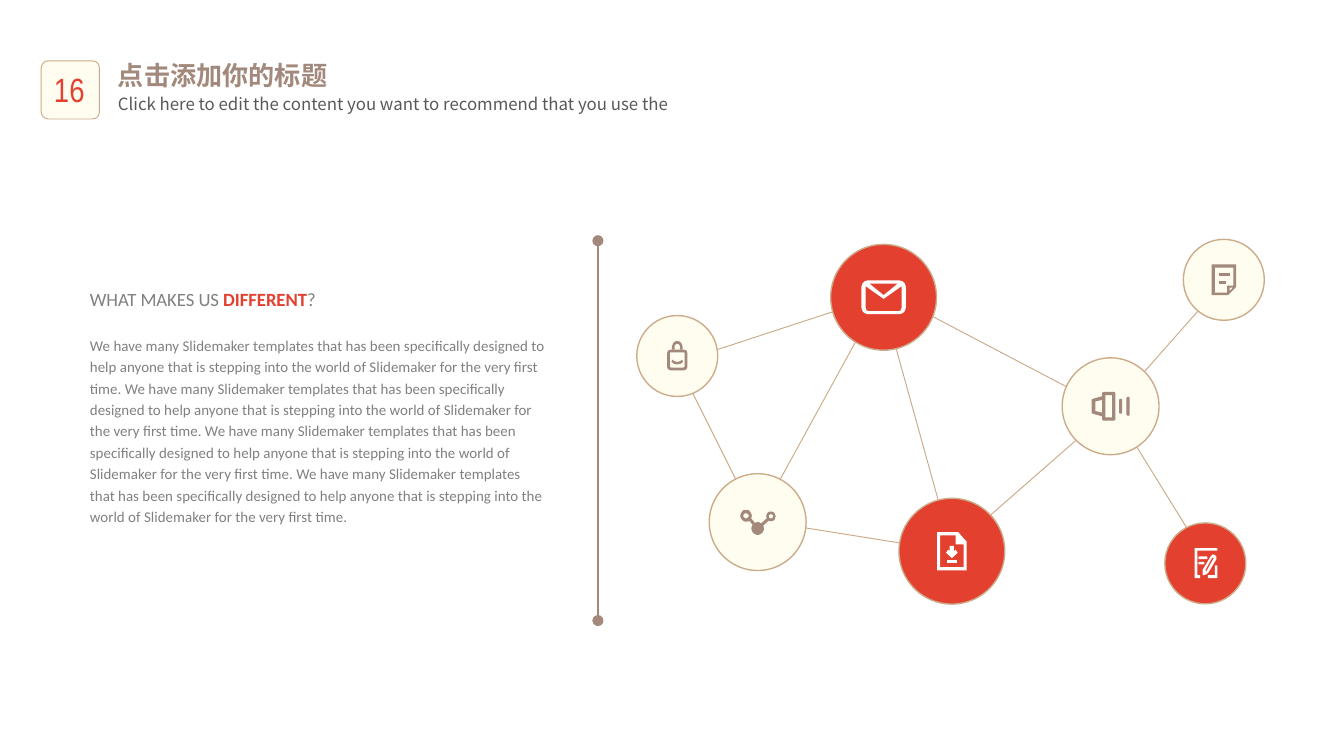
import math
from dataclasses import dataclass

import pptx
import pptx.util
from lxml import etree
from pptx.dml.color import RGBColor
from pptx.enum.shapes import MSO_CONNECTOR, MSO_SHAPE
from pptx.enum.text import MSO_ANCHOR, PP_ALIGN
from pptx.oxml.ns import qn
from pptx.util import Cm, Pt

Point = tuple[float, float]
Contour = list[Point]
Piece = list[Contour]


@dataclass(frozen=True)
class Theme:
    red: RGBColor = RGBColor(0xE4, 0x40, 0x2F)
    cream: RGBColor = RGBColor(0xFF, 0xFD, 0xEF)
    tan: RGBColor = RGBColor(0xCB, 0xAB, 0x89)
    brown: RGBColor = RGBColor(0xA2, 0x89, 0x7B)
    white: RGBColor = RGBColor(0xFF, 0xFF, 0xFF)
    grey: RGBColor = RGBColor(0x80, 0x80, 0x80)
    dark: RGBColor = RGBColor(0x59, 0x59, 0x59)
    badge_font: str = "Arial Narrow"
    body_font: str = "Calibri"
    title_font: str = "Noto Sans CJK SC"
    badge_size: float = 18
    title_size: float = 14
    subtitle_size: float = 9
    heading_size: float = 10
    body_size: float = 8
    thin: float = 0.5
    medium: float = 0.75


T = Theme()


@dataclass(frozen=True)
class Node:
    """A network circle: centre and diameter in cm, icon in 0.1 mm from the centre."""
    x: float
    y: float
    size: float
    filled: bool
    icon: list[Piece]


@dataclass(frozen=True)
class Link:
    x1: float
    y1: float
    x2: float
    y2: float


def arc(cx: float, cy: float, radius: float, start: int, stop: int, step: int) -> Contour:
    return [(cx + radius * math.cos(math.radians(a)), cy + radius * math.sin(math.radians(a)))
            for a in range(start, stop, step)]


def circle(cx: float, cy: float, radius: float) -> Contour:
    return arc(cx, cy, radius, 0, 360, 20)


def box(left: float, top: float, right: float, bottom: float, radius: float = 0) -> Contour:
    if not radius:
        return [(left, top), (right, top), (right, bottom), (left, bottom)]
    corners = [(right - radius, bottom - radius), (left + radius, bottom - radius),
               (left + radius, top + radius), (right - radius, top + radius)]
    return [pt for i, (cx, cy) in enumerate(corners)
            for pt in arc(cx, cy, radius, 90 * i, 90 * i + 91, 30)]


MAIL = [[box(-42, -32, 42, 32, 12), [(27, -26), (0, -4), (-27, -26)],
         [(-34, -21), (0, 3), (34, -21), (34, 20), (32, 25), (28, 26),
          (-28, 26), (-32, 25), (-34, 20)]]]
DOWNLOAD = [
    [[(12, -36), (-28, -36), (-28, 36), (28, 36), (28, -18)],
     [(-22, 30), (-22, -30), (7, -30), (7, -13), (22, -13), (22, 30)]],
    [[(4, 0), (4, -10), (-4, -10), (-4, 0), (-7, -3), (-11, 3), (0, 13), (11, 3), (7, -3)]],
    [box(-9, 16, 9, 23)],
]
EDIT = [
    [[(-10, 22), (-15, 22), (-15, -24), (23, -24), (23, -29), (-20, -29), (-20, 28), (-10, 28)]],
    [[(18, 4), (18, 22), (5, 22), (5, 28), (23, 28), (23, 4)]],
    [[(18, -16), (14, -17), (10, -13), (-5, 12), (-5, 22), (-2, 22), (3, 20), (6, 17),
      (21, -8), (21, -13)], [(13, -11), (0, 13), (2, 15), (16, -10)]],
    [box(-13, -13, 4, -8, 2)],
    [box(-13, -3, -2, 2, 2)],
]
SHARE = [
    [circle(-22, -12, 11), circle(-22, -12, 5)],
    [circle(25, -11, 9), circle(25, -11, 4)],
    [circle(0, 12, 12)],
    [[(-17, -4), (-13, -8), (-4, 3), (-8, 7)]],
    [[(17, -7), (21, -3), (9, 8), (5, 4)]],
]
SOUND = [
    [[(7, -27), (-14, -27), (-16, -25), (-16, -19), (-34, -14), (-36, -12), (-36, 12), (-34, 14),
      (-16, 19), (-16, 25), (-14, 27), (7, 27), (9, 25), (9, -25)],
     [(-29, 9), (-29, -9), (-16, -12), (-16, 12)], box(-10, -21, 3, 21)],
    [box(16, -14, 22, 14, 3)],
    [box(30, -18, 36, 18, 3)],
]
NOTE = [
    [[(-23, -29), (-23, 29), (8, 29), (23, 14), (23, -29)],
     [(-17, -23), (18, -23), (18, 11), (6, 11), (6, 24), (-17, 24)],
     [(17, 15), (11, 21), (11, 15)]],
    [box(-9, -13, 11, -8)],
    [box(-9, 2, 4, 7)],
]
LOCK = [
    [box(-19, -12, 19, 27, 6), box(-14, -7, 14, 22, 3)],
    [arc(0, -18, 10, 180, 361, 20) + [(10, -12), (5, -12)]
     + arc(0, -18, 5, 180, 361, 20)[::-1] + [(-5, -12), (-10, -12)]],
    [[(-9, 7), (-5, 10), (0, 11), (5, 10), (9, 7), (11, 11), (6, 15), (0, 16),
      (-6, 15), (-11, 11)]],
]

LINKS = [
    Link(13.49, 6.63, 15.9, 5.84), Link(16.23, 6.35, 14.63, 9.27),
    Link(15.11, 9.96, 17.17, 10.29), Link(17.78, 9.63, 16.87, 6.35),
    Link(17.45, 5.89, 20.27, 7.37), Link(21.51, 7.16, 22.78, 5.72),
    Link(20.35, 8.31, 18.67, 9.78), Link(21.41, 8.33, 22.48, 10.06),
    Link(13.06, 7.37, 13.97, 9.19),
]
NODES = [
    Node(16.7, 5.62, 2, True, MAIL), Node(17.99, 10.42, 2, True, DOWNLOAD),
    Node(22.78, 10.65, 1.53, True, EDIT), Node(14.32, 9.87, 1.83, False, SHARE),
    Node(20.99, 7.68, 1.83, False, SOUND), Node(23.13, 5.29, 1.53, False, NOTE),
    Node(12.8, 6.73, 1.53, False, LOCK),
]
SENTENCE = ("We have many Slidemaker templates that has been specifically designed to help anyone "
            "that is stepping into the world of Slidemaker for the very first time.")


def add_line(s, link: Link, color: RGBColor, width: float, dots: bool = False) -> None:
    line = s.shapes.add_connector(MSO_CONNECTOR.STRAIGHT, Cm(link.x1), Cm(link.y1),
                                  Cm(link.x2), Cm(link.y2))
    line.line.color.rgb = color
    line.line.width = Pt(width)
    sp_pr = line._element.spPr
    if dots:
        for end in ("a:headEnd", "a:tailEnd"):
            etree.SubElement(sp_pr.find(qn("a:ln")), qn(end), type="oval")
    etree.SubElement(sp_pr, qn("a:effectLst"))


def add_outlined(s, kind, x: float, y: float, size: float, fill: RGBColor, width: float):
    sp = s.shapes.add_shape(kind, Cm(x), Cm(y), Cm(size), Cm(size))
    sp.shadow.inherit = False
    sp.fill.solid()
    sp.fill.fore_color.rgb = fill
    sp.line.color.rgb = T.tan
    sp.line.width = Pt(width)
    return sp


def add_node(s, node: Node) -> None:
    add_outlined(s, MSO_SHAPE.OVAL, node.x - node.size / 2, node.y - node.size / 2, node.size,
                 T.red if node.filled else T.cream, T.medium)
    for first, *holes in node.icon:
        builder = s.shapes.build_freeform(*first[0], scale=Cm(0.01))
        builder.add_line_segments(first[1:], close=True)
        for hole in holes:
            builder.move_to(*hole[0])
            builder.add_line_segments(hole[1:], close=True)
        sp = builder.convert_to_shape(Cm(node.x), Cm(node.y))
        sp.shadow.inherit = False
        sp.fill.solid()
        sp.fill.fore_color.rgb = T.white if node.filled else T.brown
        sp.line.fill.background()


def add_text_frame(s, x: float, y: float, w: float, h: float):
    tf = s.shapes.add_textbox(Cm(x), Cm(y), Cm(w), Cm(h)).text_frame
    tf.word_wrap = True
    return tf


def set_font(p, name: str, size: float, color: RGBColor, bold: bool = False) -> None:
    p.font.size, p.font.bold = Pt(size), bold
    p.font.color.rgb = color
    p.font.name = name
    latin = p._p.pPr.find(qn("a:defRPr")).find(qn("a:latin"))
    latin.addnext(latin.makeelement(qn("a:ea"), {"typeface": name}))


def add_header(s) -> None:
    badge = add_outlined(s, MSO_SHAPE.ROUNDED_RECTANGLE, 0.78, 1.15, 1.1, T.cream, T.thin)
    badge.adjustments[0] = 0.12
    tf = add_text_frame(s, 0.66, 1.17, 1.3, 1.02)
    tf.vertical_anchor = MSO_ANCHOR.MIDDLE
    p = tf.paragraphs[0]
    p.text, p.alignment = "16", PP_ALIGN.CENTER
    set_font(p, T.badge_font, T.badge_size, T.red)

    p = add_text_frame(s, 1.98, 0.99, 21.9, 1.19).paragraphs[0]
    p.text = "点击添加你的标题"
    set_font(p, T.title_font, T.title_size, T.brown, bold=True)
    p = add_text_frame(s, 1.98, 1.65, 21.9, 0.84).paragraphs[0]
    p.text = "Click here to edit the content you want to recommend that you use the"
    set_font(p, T.title_font, T.subtitle_size, T.dark)


def add_story(s) -> None:
    tf = add_text_frame(s, 1.7, 5.36, 8.61, 4.62)
    tf.margin_left = tf.margin_top = tf.margin_right = tf.margin_bottom = 0
    heading, body = tf.paragraphs[0], tf.add_paragraph()
    for text, strong in (("WHAT MAKES US ", False), ("DIFFERENT", True), ("?", False)):
        r = heading.add_run()
        r.text, r.font.bold = text, strong
        r.font.color.rgb = T.red if strong else T.grey
    body.text = " ".join([SENTENCE] * 4)
    heading.line_spacing = body.line_spacing = 1.2
    heading.space_after = Pt(12)
    set_font(heading, T.body_font, T.heading_size, T.grey)
    set_font(body, T.body_font, T.body_size, T.grey)


def main() -> None:
    prs = pptx.Presentation()
    prs.slide_width, prs.slide_height = Cm(25.4), Cm(14.29)
    s = prs.slides.add_slide(prs.slide_layouts[6])
    add_header(s)
    add_story(s)
    for link in LINKS:
        add_line(s, link, T.tan, T.thin)
    for node in NODES:
        add_node(s, node)
    add_line(s, Link(11.3, 4.55, 11.3, 11.73), T.brown, T.medium, dots=True)
    prs.save("out.pptx")


if __name__ == "__main__":
    main()
